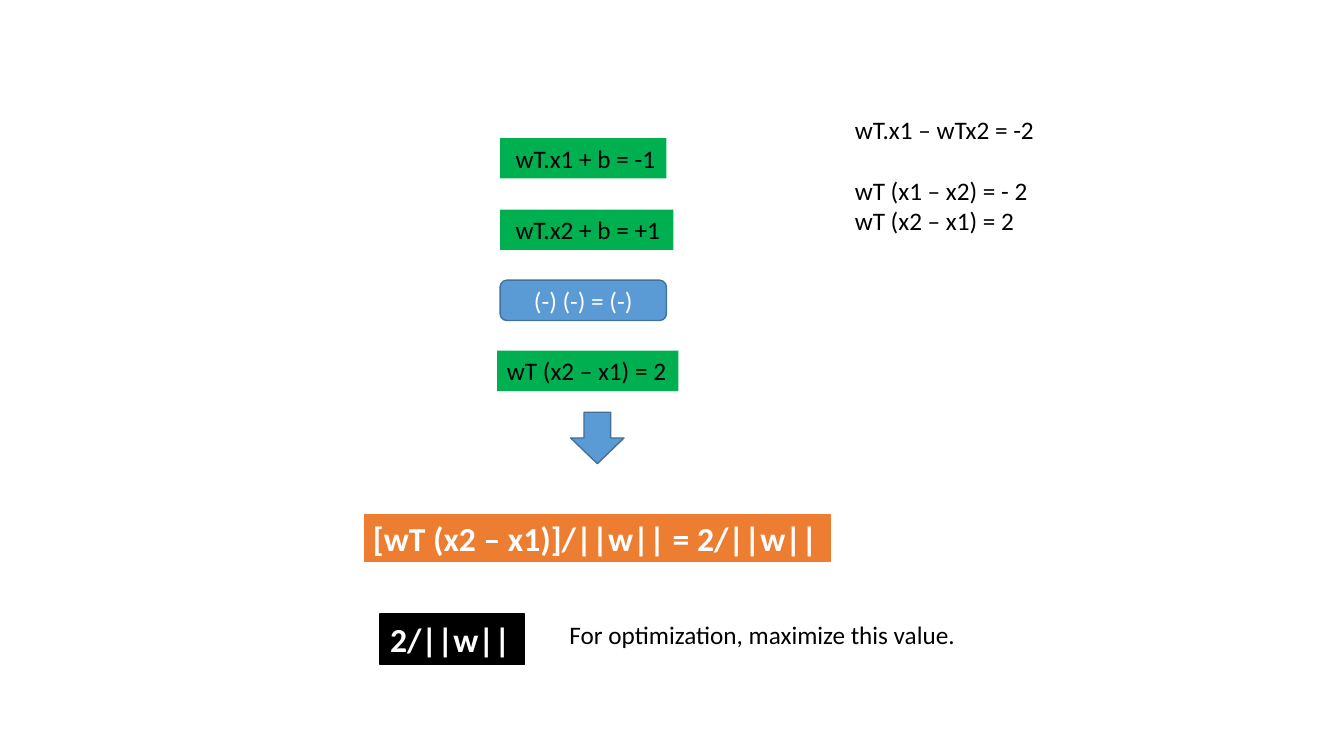
from pptx import Presentation
from pptx.dml.color import RGBColor
from pptx.enum.shapes import MSO_SHAPE
from pptx.enum.text import MSO_ANCHOR, PP_ALIGN
from pptx.util import Pt

PX = 9144
SLIDE_SIZE = (1333, 750)
LINE_GAP = 22

GREEN = {"fill": "00B050"}
BLUE = {"fill": "5B9BD5", "line": "42719B", "weight": 1}
ORANGE = {"fill": "ED7D31", "line": "FFFFFF", "weight": 1.5}
BLACK = {"fill": "000000", "line": "000000", "weight": 1}

BODY = {"size": Pt(18), "bold": False, "color": "000000"}
LIGHT = {"size": Pt(18), "bold": False, "color": "FFFFFF"}
RESULT = {"size": Pt(24), "bold": True, "color": "FFFFFF"}

LEFT_TOP = {"anchor": MSO_ANCHOR.TOP, "align": PP_ALIGN.LEFT}
CENTERED = {"anchor": MSO_ANCHOR.MIDDLE, "align": PP_ALIGN.CENTER}

SHAPES = [
    (MSO_SHAPE.RECTANGLE, (496, 137, 165, 40), GREEN, " wT.x1 + b = -1", BODY, LEFT_TOP),
    (MSO_SHAPE.RECTANGLE, (496, 208, 172, 40), GREEN, " wT.x2 + b = +1", BODY, LEFT_TOP),
    (MSO_SHAPE.ROUNDED_RECTANGLE, (496, 278, 165, 40), BLUE, "(-) (-) = (-)", LIGHT, CENTERED),
    (MSO_SHAPE.RECTANGLE, (493, 348, 180, 40), GREEN, "wT (x2 – x1) = 2", BODY, LEFT_TOP),
    (MSO_SHAPE.DOWN_ARROW, (566, 409, 53, 51), BLUE, "", LIGHT, CENTERED),
    (MSO_SHAPE.RECTANGLE, (360, 509, 465, 50), ORANGE,
     "[wT (x2 – x1)]/||w|| = 2/||w||", RESULT, LEFT_TOP),
    (MSO_SHAPE.RECTANGLE, (377, 609, 143, 50), BLACK, "2/||w||", RESULT, LEFT_TOP),
]

NOTES = [
    ((838, 108, 200, 131),
     [("wT.x1 – wTx2 = -2", 0), ("wT (x1 – x2) = - 2", LINE_GAP), ("wT (x2 – x1) = 2", 0)]),
    ((555, 609, 407, 40), [("For optimization, maximize this value.", 0)]),
]


def color(value):
    return RGBColor.from_string(value)


def place(bounds):
    return [value * PX for value in bounds]


def write(box, lines, style, layout):
    frame = box.text_frame
    frame.word_wrap = True
    frame.vertical_anchor = layout["anchor"]
    for index, (text, gap) in enumerate(lines):
        para = frame.paragraphs[0] if index == 0 else frame.add_paragraph()
        para.alignment = layout["align"]
        para.space_before = Pt(gap)
        span = para.add_run()
        span.text = text
        for name, value in {"name": "Calibri", "size": style["size"], "bold": style["bold"]}.items():
            setattr(span.font, name, value)
        span.font.color.rgb = color(style["color"])


def draw_shape(page, kind, bounds, look, text, style, layout):
    box = page.shapes.add_shape(kind, *place(bounds))
    box.shadow.inherit = False
    box.fill.solid()
    box.fill.fore_color.rgb = color(look["fill"])
    if "line" in look:
        box.line.color.rgb = color(look["line"])
        box.line.width = Pt(look["weight"])
    else:
        box.line.fill.background()
    if text:
        write(box, [(text, 0)], style, layout)


def main():
    deck = Presentation()
    deck.slide_width, deck.slide_height = place(SLIDE_SIZE)
    page = deck.slides.add_slide(deck.slide_layouts[6])
    for shape in SHAPES:
        draw_shape(page, *shape)
    for bounds, lines in NOTES:
        write(page.shapes.add_textbox(*place(bounds)), lines, BODY, LEFT_TOP)
    deck.save("out.pptx")


if __name__ == "__main__":
    main()
